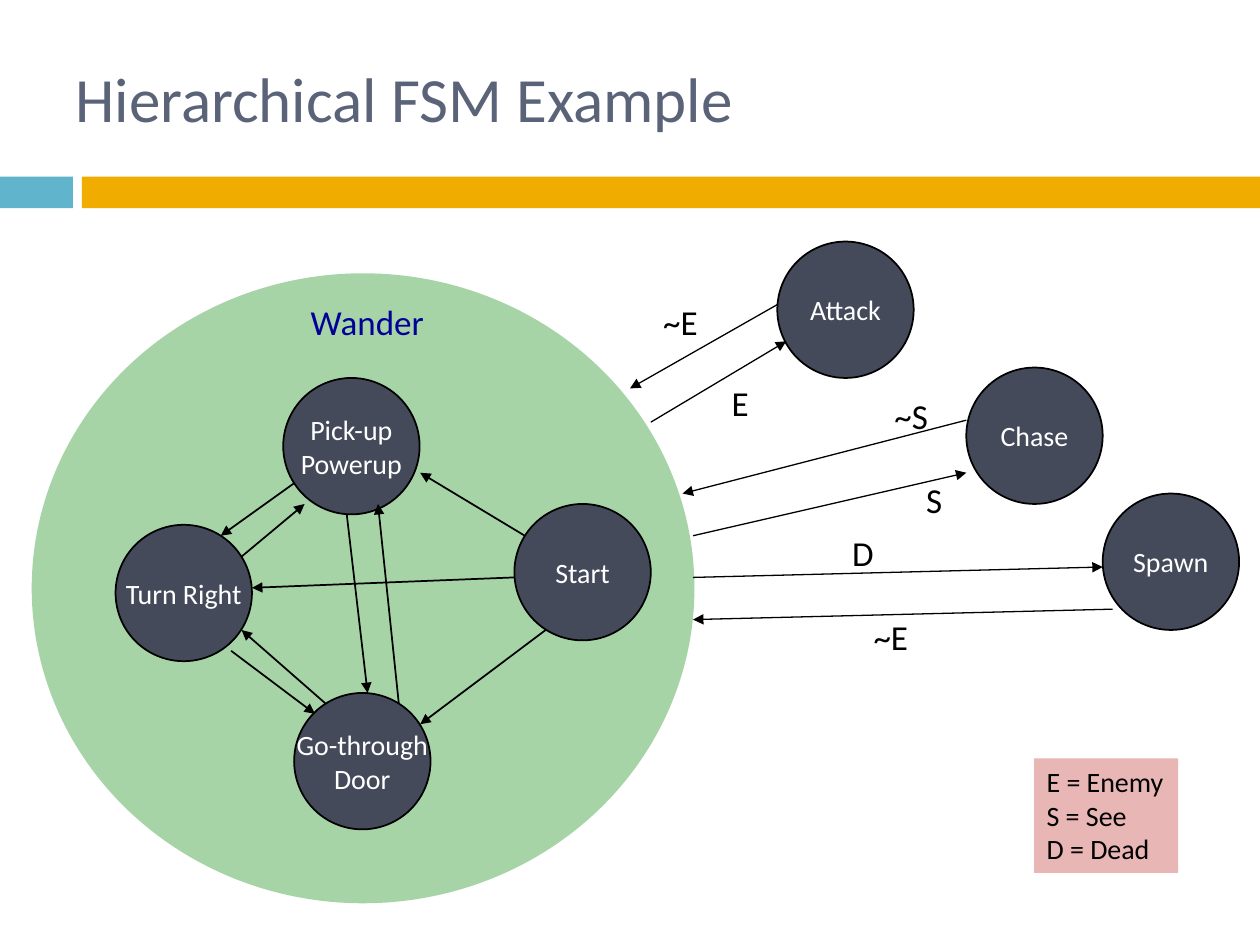
"""Build the slide that shows a hierarchical finite state machine."""
from lxml import etree
from pptx import Presentation
from pptx.dml.color import RGBColor
from pptx.enum.shapes import MSO_CONNECTOR, MSO_SHAPE
from pptx.enum.text import MSO_ANCHOR, MSO_AUTO_SIZE, PP_ALIGN
from pptx.oxml.ns import qn
from pptx.util import Cm, Pt

OVAL, RECTANGLE = MSO_SHAPE.OVAL, MSO_SHAPE.RECTANGLE
STRAIGHT = MSO_CONNECTOR.STRAIGHT
TOP, MIDDLE = MSO_ANCHOR.TOP, MSO_ANCHOR.MIDDLE
LEFT, CENTER = PP_ALIGN.LEFT, PP_ALIGN.CENTER
NO_RESIZE = MSO_AUTO_SIZE.NONE

FONT = "Calibri"
COLORS = {
    "title": "5A6378", "blue": "60B5CC", "amber": "F0AD00", "green": "A6D4A7",
    "state": "444A5A", "navy": "000099", "pink": "E8B6B5",
    "black": "000000", "white": "FFFFFF",
}
DIAMETER = 2.75
LABEL_HEIGHT = 1.1

TITLE = ("Hierarchical FSM Example", (1.27, 0.76, 21.79, 2.41))
BARS = [("blue", (0, 3.56, 1.47, 0.64)), ("amber", (1.65, 3.56, 23.75, 0.64))]
WANDER_AREA = (0.64, 5.51, 13.36, 12.7)
WANDER_LABEL = ("Wander", (5.08, 5.93, 4.65, LABEL_HEIGHT))
STATES = [
    (["Start"], 10.37, 10.16),
    (["Turn Right"], 2.33, 10.58),
    (["Go-through", "Door"], 5.93, 13.97),
    (["Pick-up", "Powerup"], 5.71, 7.62),
    (["Attack"], 15.67, 4.87),
    (["Chase"], 19.48, 7.41),
    (["Spawn"], 22.23, 9.95),
]
INNER_MOVES = [
    (11, 12.7, 8.47, 14.6),
    (10.58, 10.8, 8.47, 9.53),
    (10.37, 11.64, 5.08, 11.85),
    (6.99, 10.37, 7.41, 13.97),
    (5.93, 9.74, 4.45, 10.8),
    (4.66, 13.12, 6.35, 14.39),
    (4.87, 11.22, 6.14, 10.16),
    (6.56, 14.18, 4.87, 12.7),
    (8.04, 14.18, 7.62, 10.16),
]
OUTER_MOVES = [
    (15.67, 6.14, 12.7, 7.83),
    (13.12, 8.51, 15.85, 6.88),
    (19.48, 8.47, 13.76, 9.95),
    (13.97, 10.8, 19.48, 9.53),
    (13.97, 11.64, 22.23, 11.43),
    (22.43, 12.28, 13.97, 12.49),
]
CONDITIONS = [
    ("~E", 13.12, 5.93, 1.32),
    ("E", 14.5, 7.57, 0.81),
    ("~S", 17.78, 7.83, 1.35),
    ("S", 18.42, 9.53, 0.86),
    ("D", 16.93, 10.58, 0.94),
    ("~E", 17.36, 12.28, 1.32),
]
LEGEND = (["E = Enemy", "S = See", "D = Dead"], (20.85, 15.29, 2.9, 2.31))


def color(name):
    return RGBColor.from_string(COLORS[name])


def write(box, lines, size, ink, align=LEFT, anchor=TOP, wrap=False):
    frame = box.text_frame
    frame.word_wrap = wrap
    frame.auto_size = NO_RESIZE
    frame.vertical_anchor = anchor
    for index, line in enumerate(lines):
        para = frame.add_paragraph() if index else frame.paragraphs[0]
        para.alignment = align
        span = para.add_run()
        span.text = line
        span.font.name = FONT
        span.font.size = Pt(size)
        span.font.color.rgb = color(ink)


def add_text(page, area, *args, **style):
    box = page.shapes.add_textbox(*map(Cm, area))
    write(box, *args, **style)


def add_figure(page, kind, area, fill, outlined=False):
    shape = page.shapes.add_shape(kind, *map(Cm, area))
    shape.shadow.inherit = False
    shape.fill.solid()
    shape.fill.fore_color.rgb = color(fill)
    if outlined:
        shape.line.color.rgb = color("black")
        shape.line.width = Pt(1)
    else:
        shape.line.fill.background()
    return shape


def add_arrow(page, ends, width):
    arrow = page.shapes.add_connector(STRAIGHT, *map(Cm, ends))
    arrow.line.color.rgb = color("black")
    arrow.line.width = Pt(width)
    etree.SubElement(arrow.line._get_or_add_ln(), qn("a:tailEnd"), type="triangle")
    etree.SubElement(arrow._element.spPr, qn("a:effectLst"))


def main():
    deck = Presentation()
    deck.slide_width, deck.slide_height = Cm(25.4), Cm(19.05)
    page = deck.slides.add_slide(deck.slide_layouts[6])

    for fill, area in BARS:
        add_figure(page, RECTANGLE, area, fill)
    title, area = TITLE
    add_text(page, area, [title], 36, "title", anchor=MIDDLE, wrap=True)

    add_figure(page, OVAL, WANDER_AREA, "green")
    for lines, left, top in STATES:
        circle = add_figure(page, OVAL, (left, top, DIAMETER, DIAMETER), "state", True)
        write(circle, lines, 16, "white", CENTER, MIDDLE)
    for moves, width in ((INNER_MOVES, 1), (OUTER_MOVES, 0.75)):
        for ends in moves:
            add_arrow(page, ends, width)

    label, area = WANDER_LABEL
    add_text(page, area, [label], 20, "navy", align=CENTER, wrap=True)
    for label, left, top, width in CONDITIONS:
        add_text(page, (left, top, width, LABEL_HEIGHT), [label], 20, "black")

    lines, area = LEGEND
    write(add_figure(page, RECTANGLE, area, "pink"), lines, 16, "black")
    deck.save("out.pptx")


if __name__ == "__main__":
    main()
